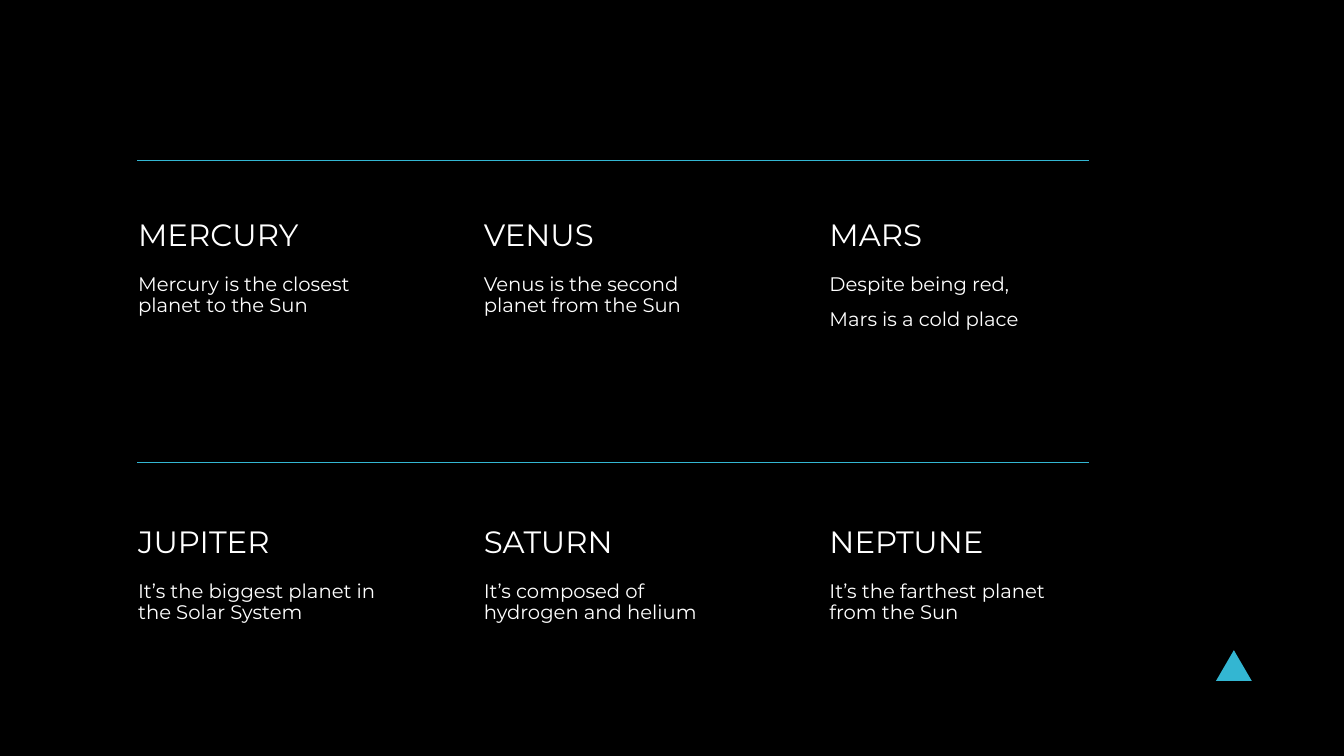
from pptx import Presentation
from pptx.dml.color import RGBColor
from pptx.enum.shapes import MSO_CONNECTOR as Connector, MSO_SHAPE as Shape
from pptx.enum.text import MSO_ANCHOR as Anchor
from pptx.oxml.ns import qn
from pptx.util import Pt
from lxml.etree import SubElement

EMU_PER_PX = 9144  # 100 px to the inch


def px(length):
    return length * EMU_PER_PX


def rgb(code):
    return RGBColor.from_string(code)


class PlanetSlide:
    font = "Montserrat"
    background = "000000"
    ink = "FFFFFF"
    accent = "33B6D2"
    inset = 27

    def __init__(self, page):
        self.page = page
        fill = page.background.fill
        fill.solid()
        fill.fore_color.rgb = rgb(self.background)

    def triangle(self, left, top, width, height):
        marker = self.page.shapes.add_shape(
            Shape.ISOSCELES_TRIANGLE, px(left), px(top), px(width), px(height))
        marker.shadow.inherit = False
        marker.fill.solid()
        marker.fill.fore_color.rgb = rgb(self.accent)
        marker.line.fill.background()

    def rule(self, left, right, top):
        line = self.page.shapes.add_connector(
            Connector.STRAIGHT, px(left), px(top), px(right), px(top))
        line.line.color.rgb = rgb(self.accent)
        line.line.width = Pt(0.75)
        SubElement(line._element.spPr, qn("a:effectLst"))

    def text(self, left, top, width, height, lines, size, anchor):
        box = self.page.shapes.add_textbox(px(left), px(top), px(width), px(height))
        frame = box.text_frame
        frame.word_wrap = True
        frame.vertical_anchor = anchor
        frame.margin_left = frame.margin_right = px(self.inset)
        frame.margin_top = frame.margin_bottom = px(self.inset)
        for index, line in enumerate(lines):
            para = frame.paragraphs[0] if index == 0 else frame.add_paragraph()
            para.line_spacing = 0.9
            if index:
                para.space_before = Pt(20)
            span = para.add_run()
            span.text = line
            span.font.name = self.font
            span.font.size = Pt(size)
            span.font.color.rgb = rgb(self.ink)


# Each row: rule top, name top, description top, planets
ROWS = [
    (318, 358, 518, [
        ("MERCURY", ["Mercury is the closest planet to the Sun"]),
        ("VENUS", ["Venus is the second planet from the Sun"]),
        ("MARS", ["Despite being red,", "Mars is a cold place"]),
    ]),
    (917, 967, 1126, [
        ("JUPITER", ["It’s the biggest planet in the Solar System"]),
        ("SATURN", ["It’s composed of hydrogen and helium"]),
        ("NEPTUNE", ["It’s the farthest planet from the Sun"]),
    ]),
]
FIRST_COLUMN, COLUMN_STEP, COLUMN_WIDTH = 247, 686, 565
NAME_HEIGHT, DESCRIPTION_HEIGHT = 171, 225


def main():
    deck = Presentation()
    deck.slide_width, deck.slide_height = px(2667), px(1500)
    slide = PlanetSlide(deck.slides.add_slide(deck.slide_layouts[6]))

    # Corner marker
    slide.triangle(2413, 1290, 71, 61)

    # Planet grid with a rule above each row
    for rule_top, name_top, description_top, planets in ROWS:
        slide.rule(272, 2160, rule_top)
        for column, (name, description) in enumerate(planets):
            left = FIRST_COLUMN + column * COLUMN_STEP
            slide.text(left, name_top, COLUMN_WIDTH, NAME_HEIGHT,
                       [name], 44, Anchor.BOTTOM)
            slide.text(left, description_top, COLUMN_WIDTH, DESCRIPTION_HEIGHT,
                       description, 28, Anchor.TOP)

    deck.save("out.pptx")


if __name__ == "__main__":
    main()
